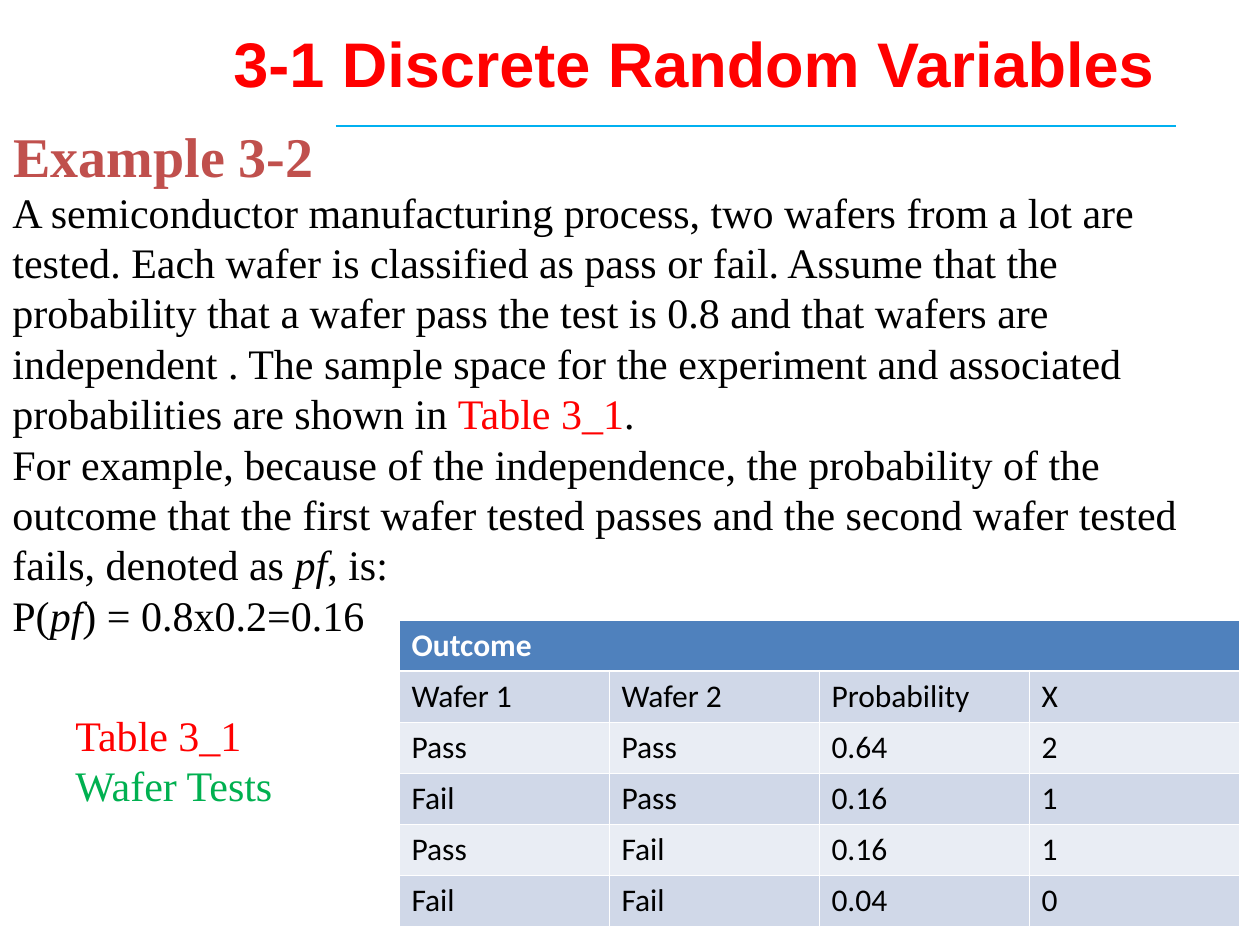
from typing import NamedTuple

from lxml.etree import SubElement as Sub
from pptx import Presentation
from pptx.dml.color import RGBColor as Rgb
from pptx.enum.shapes import MSO_CONNECTOR as Conn
from pptx.enum.text import MSO_AUTO_SIZE as Fit
from pptx.oxml import parse_xml
from pptx.oxml.ns import nsdecls, qn
from pptx.util import Emu, Pt

SCALE = 914400 / 126
INK = {
    "red": "FF0000", "rust": "C0504D", "green": "00B050", "black": "000000",
    "white": "FFFFFF", "sky": "00B0F0", "head": "4F81BD",
    "dark": "D0D8E8", "light": "E9EDF4",
}
SERIF = "Times New Roman"


class Run(NamedTuple):
    text: str
    ink: str = ""
    italic: bool = False


class Para(NamedTuple):
    runs: list[Run]
    ink: str = "black"


class Block(NamedTuple):
    left: int
    top: int
    width: int
    height: int
    paras: list[Para]
    size: int = 24
    face: str = SERIF
    bold: bool = False
    grow: bool = True


BLOCKS = [
    Block(1, 115, 334, 81, [Para([Run("Example 3-2")], "rust")],
          size=32, bold=True),
    Block(221, 18, 1134, 158,
          [Para([Run("3-1 Discrete Random Variables")], "red")],
          size=36, face="Arial", bold=True, grow=False),
    Block(0, 180, 1239, 466, [
        Para([
            Run("A semiconductor manufacturing process, two wafers from a lot "
                "are tested. Each wafer is classified as pass or fail. Assume "
                "that the probability that a wafer pass the test is 0.8 and "
                "that wafers are independent . The sample space for the "
                "experiment and associated probabilities are shown in "),
            Run("Table 3_1", "red"),
            Run("."),
        ]),
        Para([
            Run("For example, because of the independence, the probability of "
                "the outcome that the first wafer tested passes and the "
                "second wafer tested fails, denoted as "),
            Run("pf", italic=True),
            Run(", is:"),
        ]),
        Para([Run("P("), Run("pf", italic=True), Run(") = 0.8x0.2=0.16")]),
    ]),
    Block(63, 703, 231, 113, [
        Para([Run("Table 3_1")], "red"),
        Para([Run("Wafer Tests")], "green"),
    ]),
]

ROWS = [
    ["Outcome", "", "", ""],
    ["Wafer 1", "Wafer 2", "Probability", "X"],
    ["Pass", "Pass", "0.64", "2"],
    ["Fail", "Pass", "0.16", "1"],
    ["Pass", "Fail", "0.16", "1"],
    ["Fail", "Fail", "0.04", "0"],
]


def px(num: int) -> Emu:
    return Emu(round(num * SCALE))


def tint(name: str) -> Rgb:
    return Rgb.from_string(INK[name])


def style(font, size: int, face: str, bold: bool, ink: str) -> None:
    font.size, font.name, font.bold = Pt(size), face, bold
    font.color.rgb = tint(ink)


def write(slide, block: Block) -> None:
    box = slide.shapes.add_textbox(*map(px, block[:4]))
    frame = box.text_frame
    frame.word_wrap = True
    frame.auto_size = Fit.SHAPE_TO_FIT_TEXT if block.grow else Fit.NONE
    for num, item in enumerate(block.paras):
        para = frame.add_paragraph() if num else frame.paragraphs[0]
        style(para.font, block.size, block.face, block.bold, item.ink)
        for part in item.runs:
            run = para.add_run()
            run.text = part.text
            if part.ink:
                run.font.color.rgb = tint(part.ink)
            if part.italic:
                run.font.italic = True


def rule(slide, left: int, right: int, top: int) -> None:
    line = slide.shapes.add_connector(
        Conn.STRAIGHT, px(left), px(top), px(right), px(top))
    line.line.color.rgb = tint("sky")
    line.line.width = Pt(0.75)
    Sub(line._element.spPr, qn("a:effectLst"))


def edge(cell, row: int) -> None:
    wide = {"T": row == 1, "B": row == 0}
    props = cell._tc.get_or_add_tcPr()
    for spot, side in enumerate("LRTB"):
        width = Pt(1.47 if wide.get(side) else 0.45)
        props.insert(spot, parse_xml(
            f'<a:ln{side} {nsdecls("a")} w="{width}"><a:solidFill>'
            f'<a:srgbClr val="{INK["white"]}"/></a:solidFill></a:ln{side}>'))


def grid(slide, left: int, top: int, wide: int, tall: int) -> None:
    rows, cols = len(ROWS), len(ROWS[0])
    table = slide.shapes.add_table(
        rows, cols, px(left), px(top), px(wide * cols), px(tall * rows)).table
    for col in table.columns:
        col.width = px(wide)
    for row, texts in enumerate(ROWS):
        table.rows[row].height = px(tall)
        fill = "dark" if row % 2 else "light"
        for col, text in enumerate(texts):
            cell = table.cell(row, col)
            cell.text = text
            cell.fill.solid()
            cell.fill.fore_color.rgb = tint(fill if row else "head")
            style(cell.text_frame.paragraphs[0].font, 18, "Calibri",
                  row == 0, "black" if row else "white")
            edge(cell, row)
    table.cell(0, 0).merge(table.cell(0, cols - 1))


def main() -> None:
    deck = Presentation()
    deck.slide_width, deck.slide_height = px(1260), px(945)
    slide = deck.slides.add_slide(deck.slide_layouts[6])
    for block in BLOCKS[:2]:
        write(slide, block)
    rule(slide, 336, 1176, 126)
    write(slide, BLOCKS[2])
    grid(slide, 399, 620, 210, 51)
    write(slide, BLOCKS[3])
    deck.save("out.pptx")


if __name__ == "__main__":
    main()
